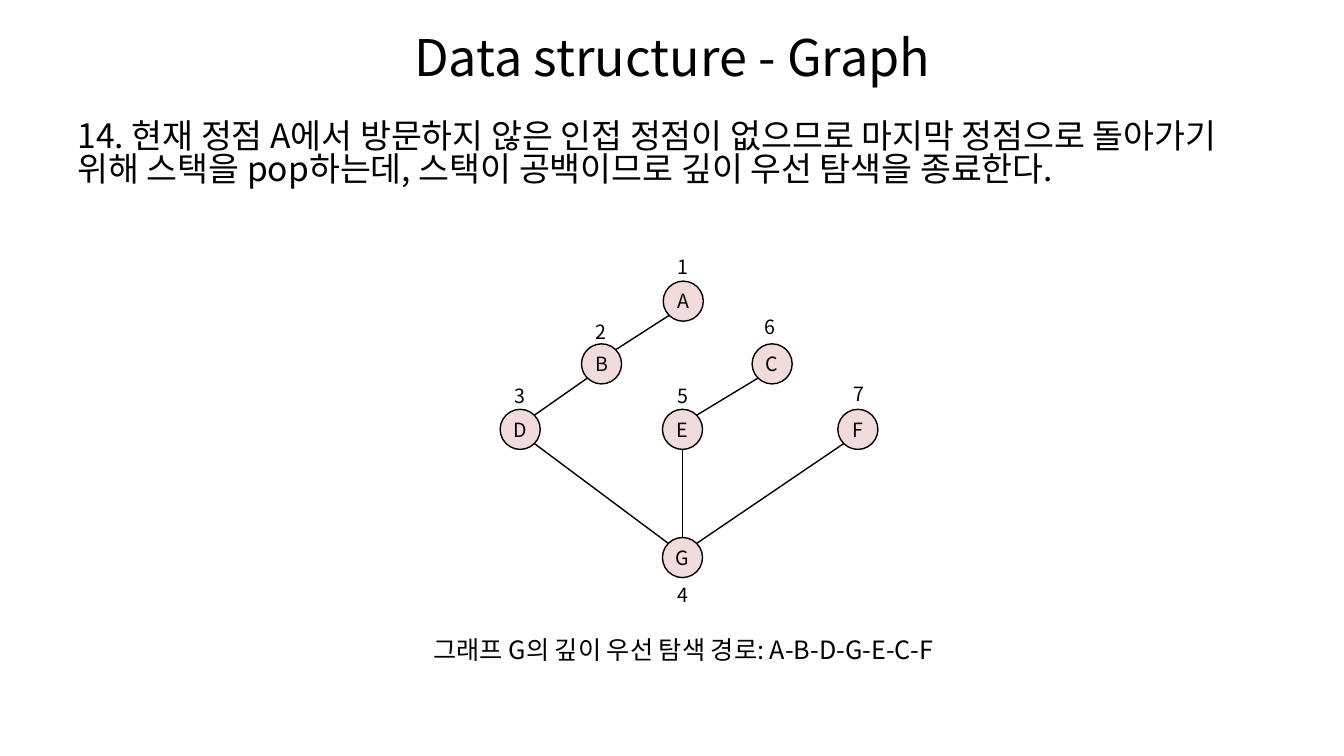
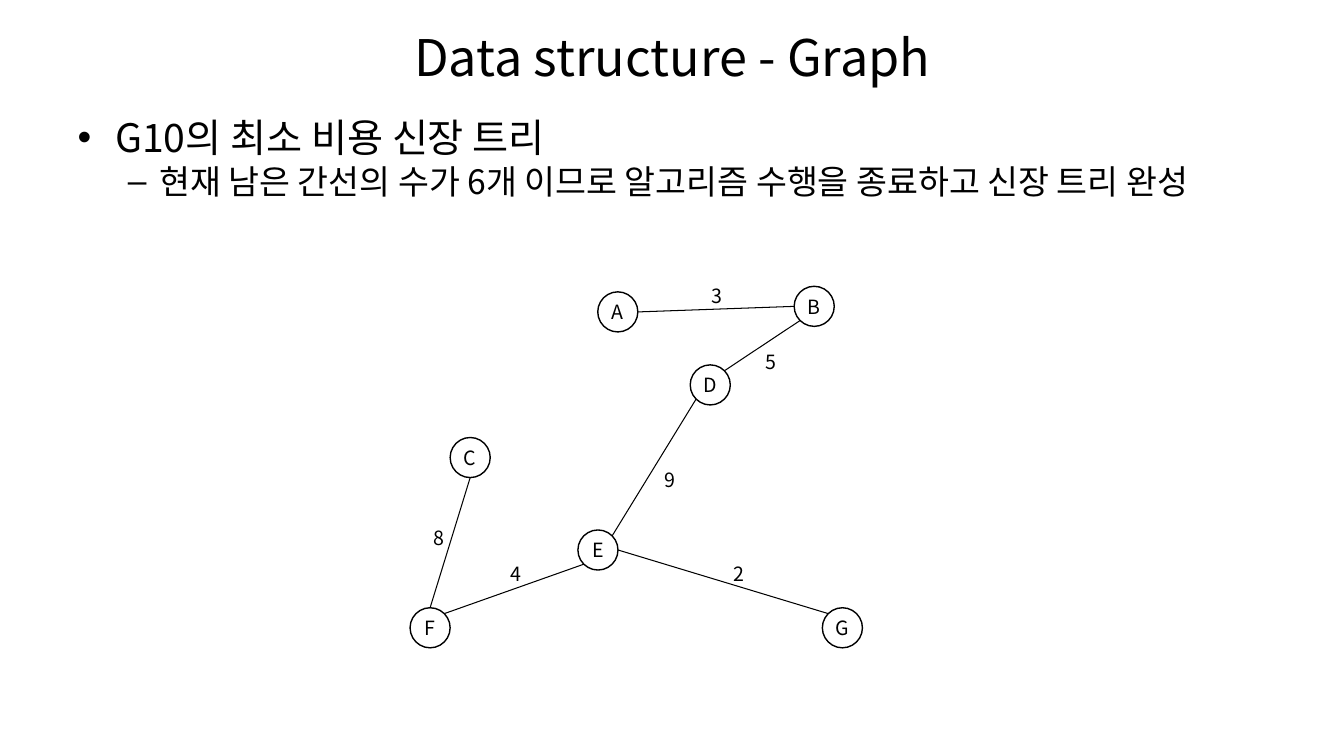
from enum import IntEnum
from math import cos, radians, sin

from lxml.etree import SubElement
from pptx import Presentation
from pptx.dml.color import RGBColor
from pptx.enum.shapes import MSO_CONNECTOR, MSO_SHAPE
from pptx.enum.text import MSO_ANCHOR, MSO_AUTO_SIZE, PP_ALIGN
from pptx.oxml.ns import qn
from pptx.util import Cm, Pt

FONT = "Noto Sans CJK KR"
BLACK = RGBColor(0x00, 0x00, 0x00)
WHITE = RGBColor(0xFF, 0xFF, 0xFF)
PINK = RGBColor(0xF2, 0xDC, 0xDB)

TITLE = "Data structure - Graph"
TITLE_BOX = (1.7, 0.33, 30.48, 2.16)
BODY_BOX = (1.7, 2.92, 30.48, 14.4)
BODY_LINE_SPACING = 0.84
NODE_SIZE = 1.01
LABEL_SIZE = (1.32, 0.86)


class Site(IntEnum):
    """Connection sites of an ellipse, counterclockwise from the top."""
    TOP = 0
    TOP_LEFT = 1
    LEFT = 2
    BOTTOM_LEFT = 3
    BOTTOM = 4
    BOTTOM_RIGHT = 5
    RIGHT = 6
    TOP_RIGHT = 7


# Node centres in centimetres
SEARCH_NODES = {
    "A": (17.22, 7.59), "B": (15.16, 9.17), "C": (19.46, 9.17),
    "D": (13.11, 10.82), "E": (17.2, 10.82), "F": (21.62, 10.82),
    "G": (17.2, 14.05),
}
SEARCH_EDGES = [
    ("A", Site.BOTTOM_LEFT, "B", Site.TOP_RIGHT),
    ("B", Site.BOTTOM_LEFT, "D", Site.TOP_RIGHT),
    ("C", Site.BOTTOM_LEFT, "E", Site.TOP_RIGHT),
    ("D", Site.BOTTOM_RIGHT, "G", Site.TOP_LEFT),
    ("E", Site.BOTTOM, "G", Site.TOP),
    ("F", Site.BOTTOM_LEFT, "G", Site.TOP_RIGHT),
]
VISIT_ORDER = {
    "1": (17.2, 6.73), "2": (15.14, 8.36), "3": (13.11, 9.96),
    "4": (17.2, 14.99), "5": (17.22, 9.96), "6": (19.41, 8.23),
    "7": (21.64, 9.93),
}

TREE_NODES = {
    "A": (15.57, 7.86), "B": (20.52, 7.72), "C": (11.85, 11.53),
    "D": (17.9, 9.7), "E": (15.07, 13.86), "F": (10.84, 15.82),
    "G": (21.23, 15.82),
}
TREE_EDGES = [
    ("A", Site.RIGHT, "B", Site.LEFT),
    ("B", Site.BOTTOM_LEFT, "D", Site.TOP_RIGHT),
    ("C", Site.BOTTOM, "F", Site.TOP),
    ("D", Site.BOTTOM_LEFT, "E", Site.TOP_RIGHT),
    ("E", Site.BOTTOM_LEFT, "F", Site.TOP_RIGHT),
    ("E", Site.RIGHT, "G", Site.TOP_LEFT),
]
EDGE_WEIGHTS = {
    "3": (18.06, 7.44), "5": (19.43, 9.12), "9": (16.89, 12.09),
    "8": (11.07, 13.56), "4": (13.0, 14.45), "2": (18.62, 14.45),
}


def set_attributes(target, values):
    for name, value in values.items():
        setattr(target, name, value)


def write(paragraph, text, size):
    run = paragraph.add_run()
    run.text = text
    set_attributes(run.font, {"name": FONT, "size": Pt(size)})
    run.font.color.rgb = BLACK
    SubElement(run._r.get_or_add_rPr(), qn("a:ea"), typeface=FONT)


def write_centred(frame, text, size):
    frame.vertical_anchor = MSO_ANCHOR.MIDDLE
    paragraph = frame.paragraphs[0]
    paragraph.alignment = PP_ALIGN.CENTER
    write(paragraph, text, size)


def place(shape, box):
    names = ("left", "top", "width", "height")
    set_attributes(shape, dict(zip(names, map(Cm, box))))


def set_bullet(paragraph, bullet, margin, hanging):
    properties = paragraph._p.get_or_add_pPr()
    properties.set("marL", str(Cm(margin)))
    properties.set("indent", str(-Cm(hanging)))
    if bullet:
        SubElement(properties, qn("a:buChar"), char=bullet)
    else:
        SubElement(properties, qn("a:buNone"))


def add_content_slide(presentation, body_lines):
    """Add a titled slide; a body line is (text, size, level, bullet, margin, hanging)."""
    slide = presentation.slides.add_slide(presentation.slide_layouts[1])
    title, body = slide.placeholders
    place(title, TITLE_BOX)
    place(body, BODY_BOX)
    for placeholder in (title, body):
        placeholder.text_frame.auto_size = MSO_AUTO_SIZE.NONE
    write_centred(title.text_frame, TITLE, 36)

    frame = body.text_frame
    for index, (text, size, level, *bullet_format) in enumerate(body_lines):
        paragraph = frame.add_paragraph() if index else frame.paragraphs[0]
        set_attributes(paragraph, {
            "level": level,
            "line_spacing": BODY_LINE_SPACING,
            "space_before": Pt(5 if index else 0),
        })
        set_bullet(paragraph, *bullet_format)
        write(paragraph, text, size)
    return slide


def add_label(slide, text, centre, size=14, box_size=LABEL_SIZE):
    (x, y), (width, height) = centre, box_size
    box = slide.shapes.add_textbox(
        Cm(x - width / 2), Cm(y - height / 2), Cm(width), Cm(height))
    box.text_frame.word_wrap = True
    write_centred(box.text_frame, text, size)


def add_node(slide, name, centre, fill):
    x, y = centre
    node = slide.shapes.add_shape(
        MSO_SHAPE.OVAL, Cm(x - NODE_SIZE / 2), Cm(y - NODE_SIZE / 2),
        Cm(NODE_SIZE), Cm(NODE_SIZE))
    node.shadow.inherit = False
    node.fill.solid()
    node.fill.fore_color.rgb = fill
    node.line.color.rgb = BLACK
    node.line.width = Pt(1)
    margins = ("margin_left", "margin_top", "margin_right", "margin_bottom")
    set_attributes(node.text_frame, {"word_wrap": False, **dict.fromkeys(margins, 0)})
    write_centred(node.text_frame, name, 14)
    return node


def site_point(node, site):
    angle = radians(90 + 45 * site)
    radius = node.width / 2
    return (round(node.left + radius * (1 + cos(angle))),
            round(node.top + radius * (1 - sin(angle))))


def add_edge(slide, start, start_site, end, end_site, width):
    """Draw a line glued to a site of each of two nodes."""
    edge = slide.shapes.add_connector(
        MSO_CONNECTOR.STRAIGHT,
        *site_point(start, start_site), *site_point(end, end_site))
    edge.line.color.rgb = BLACK
    edge.line.width = Pt(width)
    SubElement(edge._element.spPr, qn("a:effectLst"))
    glue = edge._element.nvCxnSpPr.cNvCxnSpPr
    for tag, node, site in (("a:stCxn", start, start_site), ("a:endCxn", end, end_site)):
        SubElement(glue, qn(tag), id=str(node.shape_id), idx=str(int(site)))


def add_graph(slide, centres, edges, labels, fill, edge_width):
    nodes = {name: add_node(slide, name, centre, fill)
             for name, centre in centres.items()}
    for start, start_site, end, end_site in edges:
        add_edge(slide, nodes[start], start_site, nodes[end], end_site, edge_width)
    for text, centre in labels.items():
        add_label(slide, text, centre)


def main():
    presentation = Presentation()
    presentation.slide_width = Cm(33.87)
    presentation.slide_height = Cm(19.05)

    search_slide = add_content_slide(presentation, [
        ("14. 현재 정점 A에서 방문하지 않은 인접 정점이 없으므로 마지막 정점으로 "
         "돌아가기 위해 스택을 pop하는데, 스택이 공백이므로 깊이 우선 탐색을 종료한다.",
         24, 0, None, 0, 0),
    ])
    add_graph(search_slide, SEARCH_NODES, SEARCH_EDGES, VISIT_ORDER, PINK, 1)
    add_label(search_slide, "그래프 G의 깊이 우선 탐색 경로: A-B-D-G-E-C-F",
              (17.22, 16.36), 18, (16.5, 1.02))

    tree_slide = add_content_slide(presentation, [
        ("G10의 최소 비용 신장 트리", 28, 0, "•", 0.95, 0.95),
        ("현재 남은 간선의 수가 6개 이므로 알고리즘 수행을 종료하고 신장 트리 완성",
         24, 1, "–", 2.06, 0.79),
    ])
    add_graph(tree_slide, TREE_NODES, TREE_EDGES, EDGE_WEIGHTS, WHITE, 0.75)

    presentation.save("out.pptx")


if __name__ == "__main__":
    main()
